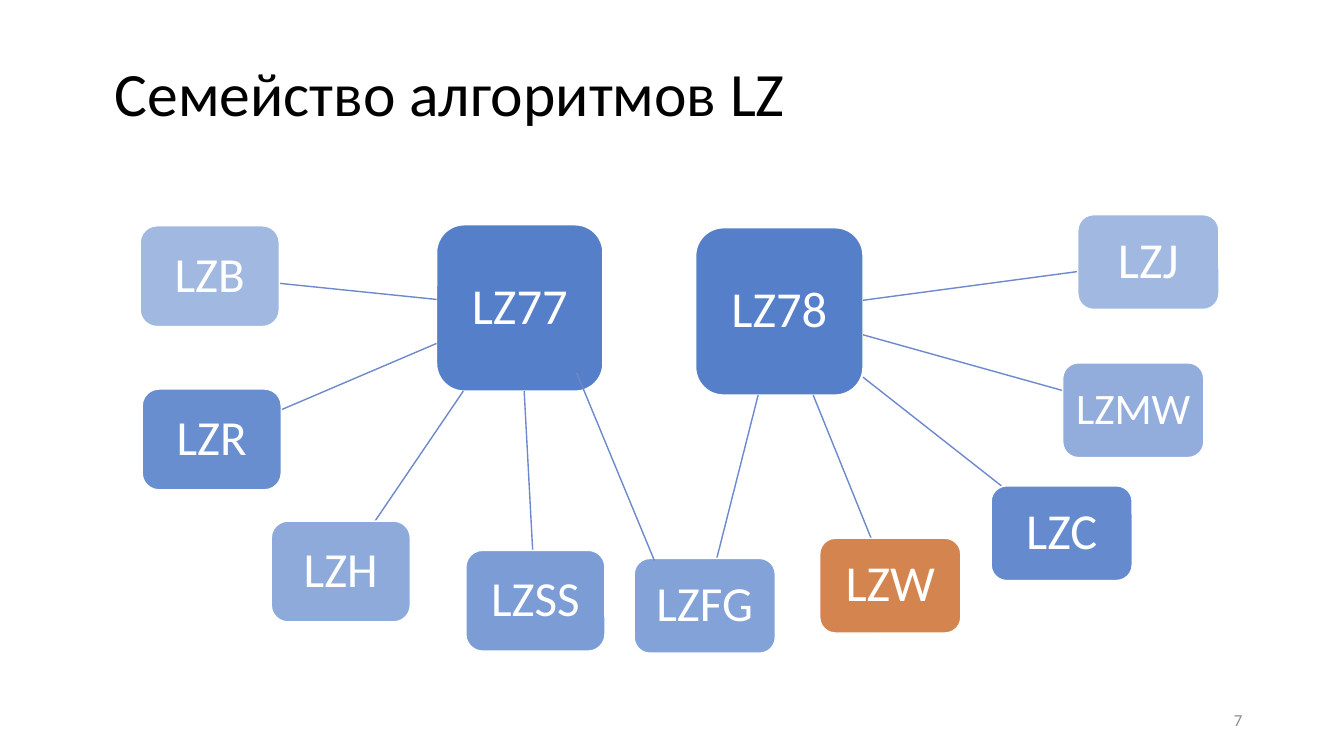
from lxml import etree
from pptx import Presentation, util as u
from pptx.dml.color import RGBColor
from pptx.enum import shapes, text
from pptx.oxml import ns

PX = 9144  # 100 px to the inch
BLUE = RGBColor(0x44, 0x72, 0xC4)
ORANGE = RGBColor(0xC5, 0x5A, 0x11)
LINK = RGBColor(0x6D, 0x89, 0xCB)
WHITE = RGBColor(0xFF, 0xFF, 0xFF)
BLACK = RGBColor(0, 0, 0)
GREY = RGBColor(0x8C, 0x8C, 0x8C)
FONT = "Calibri"

# Each member: name, left, top, fill opacity in percent, fill, text size
LZ77_ROOT = ("LZ77", (433, 223, 165, 165))
LZ77_SIZE = (138, 100)
LZ77_MEMBERS = [
    ("LZR", 141, 386, 80, BLUE, 35),
    ("LZSS", 462, 546, 70, BLUE, 35),
    ("LZH", 269, 517, 60, BLUE, 35),
    ("LZB", 139, 224, 50, BLUE, 35),
]
LZ78_ROOT = ("LZ78", (690, 226, 166, 166))
LZ78_SIZE = (140, 94)
LZ78_MEMBERS = [
    ("LZC", 983, 482, 82, BLUE, 36),
    ("LZW", 813, 534, 74, ORANGE, 36),
    ("LZFG", 629, 554, 66, BLUE, 35),
    ("LZMW", 1054, 360, 58, BLUE, 31),
    ("LZJ", 1069, 213, 50, BLUE, 36),
]


def emu(*lengths):
    return [u.Emu(round(length * PX)) for length in lengths]


def write(frame, words, size, color, align):
    frame.vertical_anchor = text.MSO_ANCHOR.MIDDLE
    paragraph = frame.paragraphs[0]
    paragraph.alignment = align
    paragraph.line_spacing = 0.9
    run = paragraph.add_run()
    run.text = words
    run.font.size = u.Pt(size)
    run.font.name = FONT
    run.font.color.rgb = color


def add_title(slide, box, words):
    title = slide.shapes.title
    title.left, title.top, title.width, title.height = emu(*box)
    write(title.text_frame, words, 44, BLACK, text.PP_ALIGN.LEFT)


def add_page_number(slide, box, number):
    frame = slide.shapes.add_textbox(*emu(*box)).text_frame
    frame.word_wrap = True
    write(frame, number, 12, GREY, text.PP_ALIGN.RIGHT)


def add_node(slide, box, name, opacity, fill, size):
    node = slide.shapes.add_shape(shapes.MSO_SHAPE.ROUNDED_RECTANGLE, *emu(*box))
    node.shadow.inherit = False
    node.fill.solid()
    node.fill.fore_color.rgb = fill
    color = node.fill._xPr.find(".//" + ns.qn("a:srgbClr"))
    etree.SubElement(color, ns.qn("a:alpha"), val=str(opacity * 1000))
    node.line.color.rgb = WHITE
    node.line.width = u.Pt(1)
    frame = node.text_frame
    frame.word_wrap = False
    frame.margin_left = frame.margin_right = emu(10)[0]
    frame.margin_top = frame.margin_bottom = emu(10)[0]
    write(frame, name, size, WHITE, text.PP_ALIGN.CENTER)


def add_link(slide, start, end):
    link = slide.shapes.add_connector(
        shapes.MSO_CONNECTOR.STRAIGHT, *emu(*start, *end))
    link.line.color.rgb = LINK
    link.line.width = u.Pt(1)
    etree.SubElement(link._element.spPr, ns.qn("a:effectLst"))


def center(box):
    left, top, width, height = box
    return left + width / 2, top + height / 2


def edge_point(box, target):
    """Point where the ray from the box centre to the target leaves the box."""
    x, y = center(box)
    dx, dy = target[0] - x, target[1] - y
    reach = 1 / max(abs(dx) / (box[2] / 2), abs(dy) / (box[3] / 2))
    return x + dx * reach, y + dy * reach


def add_family(slide, root, member_size, members):
    """A root algorithm with straight links to its descendants."""
    root_name, root_box = root
    add_node(slide, root_box, root_name, 90, BLUE, 36)
    for name, left, top, opacity, fill, size in members:
        box = (left, top, *member_size)
        add_link(slide, edge_point(root_box, center(box)),
                 edge_point(box, center(root_box)))
        add_node(slide, box, name, opacity, fill, size)


def main():
    deck = Presentation()
    deck.slide_width, deck.slide_height = emu(1333, 750)
    slide = deck.slides.add_slide(deck.slide_layouts[5])
    add_title(slide, (104, 23, 1150, 145), "Семейство алгоритмов LZ")
    add_page_number(slide, (942, 695, 300, 40), "7")
    add_family(slide, LZ77_ROOT, LZ77_SIZE, LZ77_MEMBERS)
    add_family(slide, LZ78_ROOT, LZ78_SIZE, LZ78_MEMBERS)
    add_link(slide, (649, 556), (572, 370))  # LZFG also descends from LZ77
    deck.save("out.pptx")


if __name__ == "__main__":
    main()
